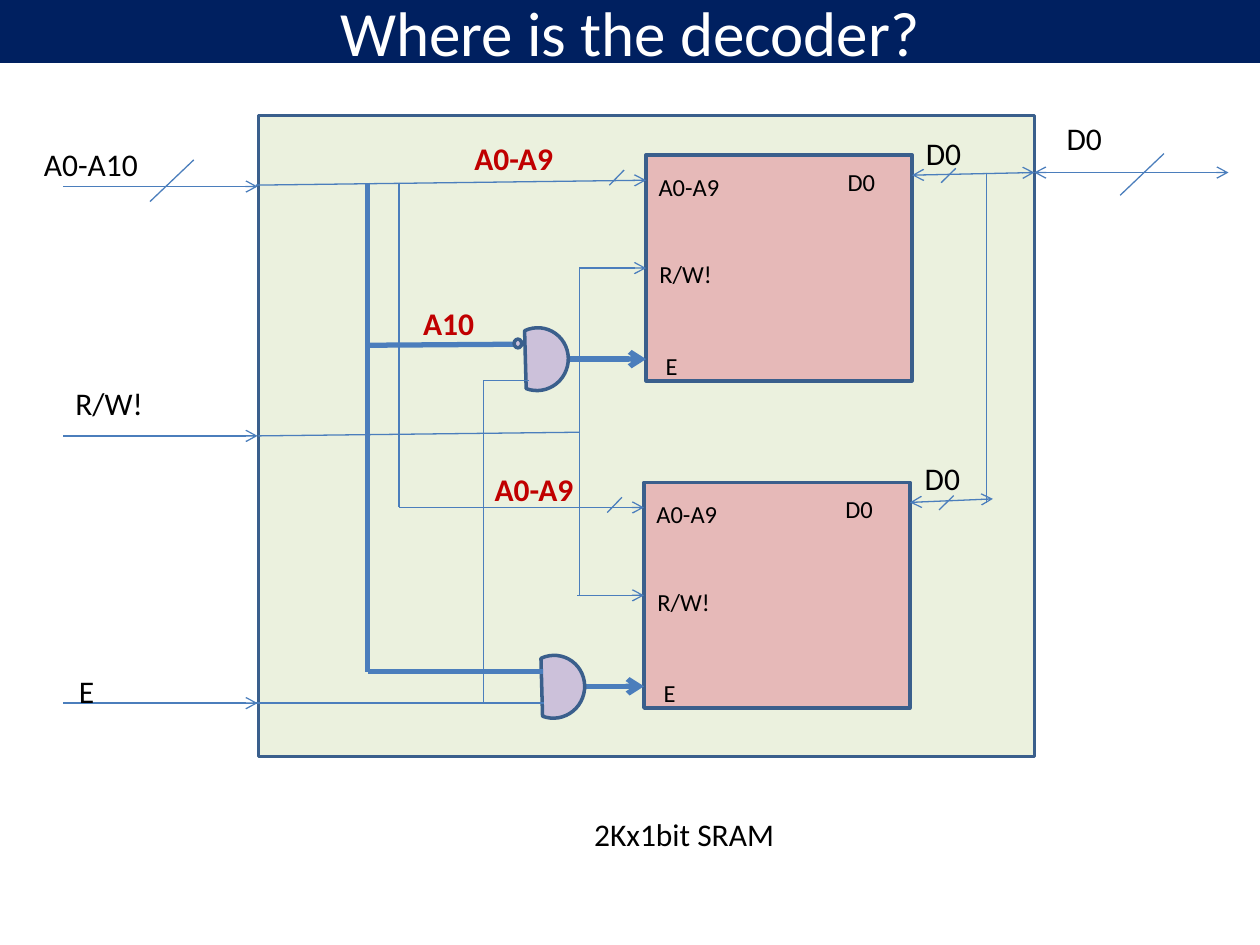
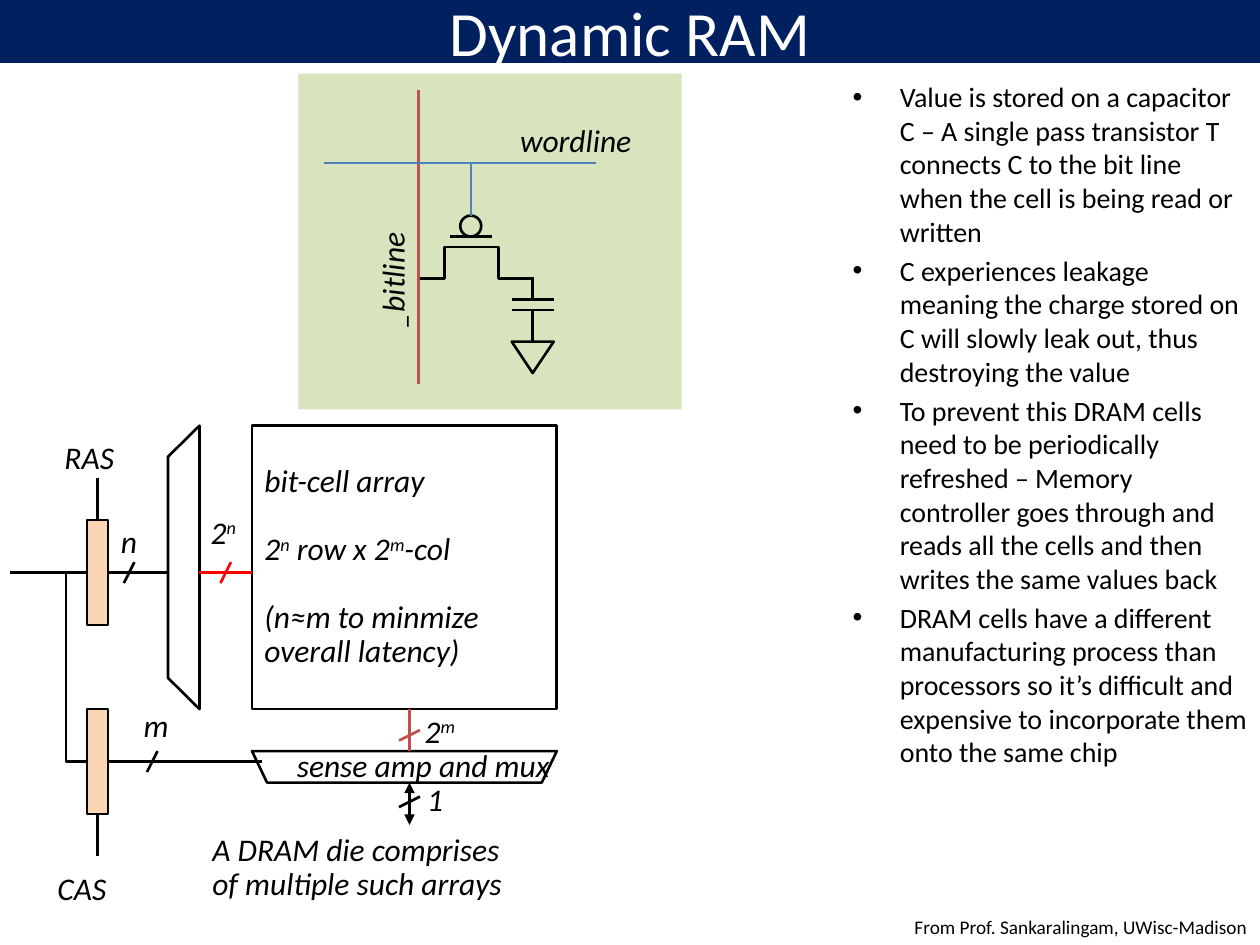
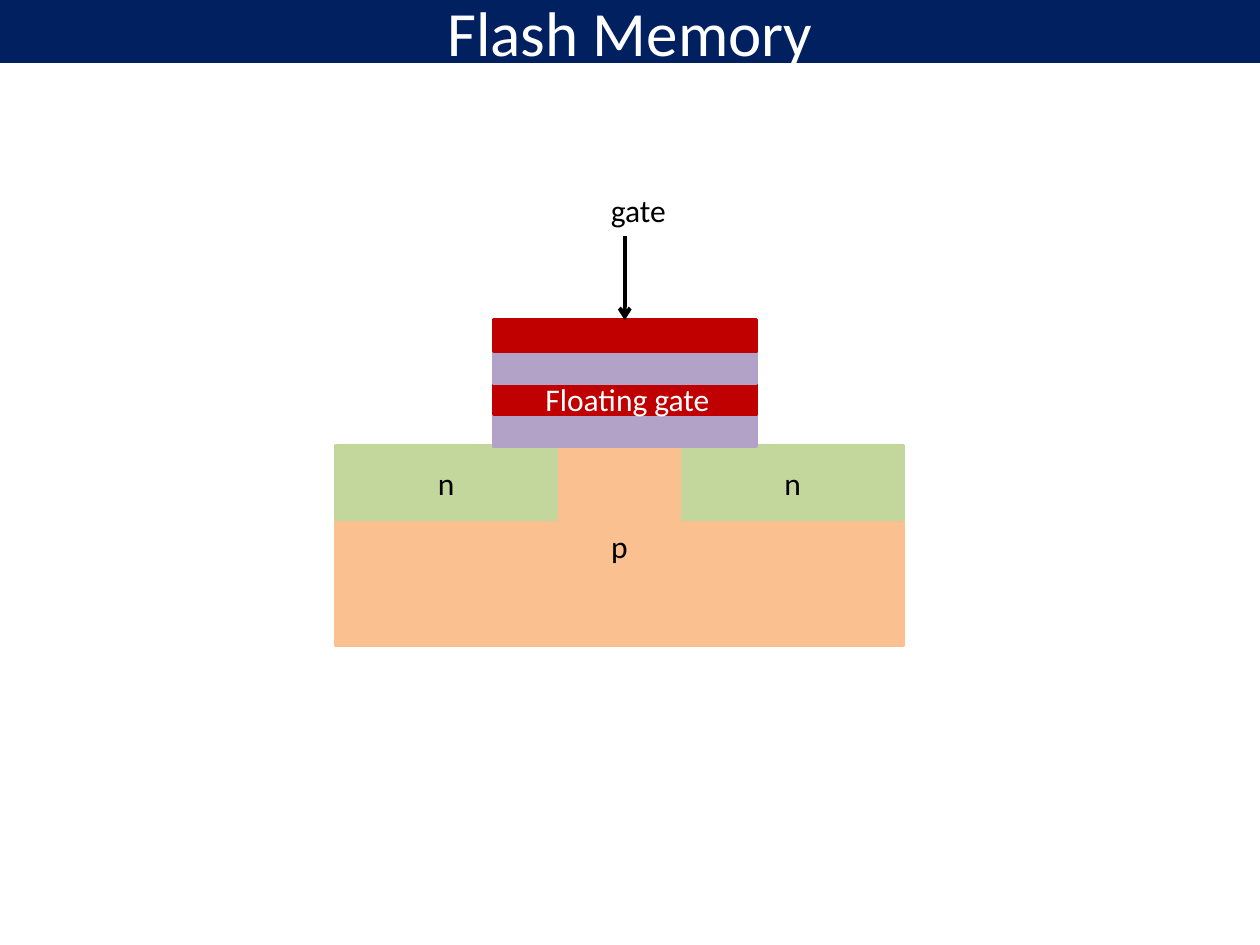
from dataclasses import dataclass

from lxml.etree import SubElement
from pptx import Presentation
from pptx.dml.color import RGBColor
from pptx.enum.shapes import MSO_CONNECTOR, MSO_SHAPE as SHAPE
from pptx.enum.text import MSO_ANCHOR as ANCHOR, MSO_AUTO_SIZE as AUTO, PP_ALIGN as ALIGN
from pptx.oxml.ns import qn
from pptx.util import Pt


@dataclass(frozen=True)
class Theme:
    font: str = "Calibri"
    title_size: float = 36
    label_size: float = 18
    body_size: float = 16
    pin_size: float = 14
    credit_size: float = 11
    thin: float = 0.75
    drawn: float = 1.5
    edge: float = 2
    thick: float = 3
    tight: float = 0.9
    navy: str = "002060"
    white: str = "FFFFFF"
    black: str = "000000"
    wire: str = "4B7EBC"
    outline: str = "3A5F8C"
    module: str = "EBF1DE"
    chip: str = "E6B9B8"
    gate: str = "CCC1DA"
    crimson: str = "C00000"
    cell: str = "D7E4BD"
    bitline: str = "C0504D"
    wordline: str = "4F81BD"
    row_select: str = "FF0000"
    latch: str = "FCD5B5"
    substrate: str = "FAC090"
    doped: str = "C3D69B"
    oxide: str = "B3A2C7"


T = Theme()


def rgb(color):
    return RGBColor.from_string(color)


def add_runs(p, text, size, color, bold=False, italic=False):
    for i, part in enumerate(text.split("^")):
        if not part:
            continue
        r = p.add_run()
        r.text = part
        f = r.font
        f.name, f.size, f.bold, f.italic = T.font, Pt(size), bold, italic
        f.color.rgb = rgb(color)
        if i % 2:
            r._r.get_or_add_rPr().set("baseline", "30000")


def write(tf, lines, size=T.label_size, color=T.black, bold=False, italic=False,
          align=ALIGN.LEFT, spacing=None, gaps=()):
    for i, text in enumerate(lines):
        p = tf.paragraphs[0] if i == 0 else tf.add_paragraph()
        p.alignment = align
        p.line_spacing = spacing
        p.space_before = Pt(gaps[i] if gaps else 0)
        add_runs(p, text, size, color, bold, italic)


def paint(sp, fill=None, line=None, width=T.edge):
    sp.shadow.inherit = False
    if fill:
        sp.fill.solid()
        sp.fill.fore_color.rgb = rgb(fill)
    else:
        sp.fill.background()
    if line:
        sp.line.color.rgb = rgb(line)
        sp.line.width = Pt(width)
    else:
        sp.line.fill.background()


def add_block(s, kind, x, y, w, h, fill=None, line=None, width=T.edge):
    sp = s.shapes.add_shape(kind, Pt(x), Pt(y), Pt(w), Pt(h))
    paint(sp, fill, line, width)
    return sp


def add_outline(s, points, closed):
    (x, y), *rest = [(Pt(a), Pt(b)) for a, b in points]
    builder = s.shapes.build_freeform(x, y)
    builder.add_line_segments(rest, close=closed)
    sp = builder.convert_to_shape()
    paint(sp, None, T.black, T.drawn)
    return sp


def add_line(s, x1, y1, x2, y2, color=T.wire, width=T.thin, head=None, tail=None):
    c = s.shapes.add_connector(MSO_CONNECTOR.STRAIGHT, Pt(x1), Pt(y1), Pt(x2), Pt(y2))
    c.line.color.rgb = rgb(color)
    c.line.width = Pt(width)
    ln = c.line._get_or_add_ln()
    for tag, kind in (("a:headEnd", head), ("a:tailEnd", tail)):
        if kind:
            SubElement(ln, qn(tag), type=kind)
    SubElement(c._element.spPr, qn("a:effectLst"))


def add_label(s, x, y, w, *lines, size=T.label_size, rotation=0, **style):
    h = len(lines) * size * 1.22 * (style.get("spacing") or 1) + 7.2
    box = s.shapes.add_textbox(Pt(x), Pt(y), Pt(w), Pt(h))
    box.rotation = rotation
    tf = box.text_frame
    tf.word_wrap = False
    tf.auto_size = AUTO.SHAPE_TO_FIT_TEXT
    write(tf, lines, size, **style)


def add_note(s, x, y, w, *lines, **style):
    add_label(s, x, y, w, *lines, italic=True, spacing=T.tight, **style)


def add_titled_slide(prs, layout, title):
    s = prs.slides.add_slide(prs.slide_layouts[layout])
    sp = s.shapes.title
    sp.left, sp.top, sp.width, sp.height = Pt(0), Pt(0), prs.slide_width, Pt(36)
    sp.fill.solid()
    sp.fill.fore_color.rgb = rgb(T.navy)
    tf = sp.text_frame
    tf.auto_size = AUTO.NONE
    tf.vertical_anchor = ANCHOR.MIDDLE
    write(tf, [title], T.title_size, T.white, align=ALIGN.CENTER)
    return s


def add_bullets(s, x, y, w, h, items):
    sp = s.placeholders[1]
    sp.left, sp.top, sp.width, sp.height = Pt(x), Pt(y), Pt(w), Pt(h)
    tf = sp.text_frame
    tf.auto_size = AUTO.NONE
    write(tf, items, T.body_size, gaps=[0] + [3.2] * (len(items) - 1))
    for p in tf.paragraphs:
        pPr = p._p.get_or_add_pPr()
        pPr.set("marL", str(Pt(27)))
        pPr.set("indent", str(-Pt(27)))


def add_chip(s, x, y, address_from, data_to, enable_from):
    w, h = 152, 129
    add_block(s, SHAPE.RECTANGLE, x, y, w, h, T.chip, T.outline)
    add_line(s, *address_from, x, y + 14.4, tail="arrow")
    add_line(s, x - 12.6, y + 8.6, x - 21, y + 17.3)
    add_line(s, x + w, y + 11.5, *data_to, head="arrow", tail="arrow")
    add_line(s, x + w + 25, y + 7.6, x + w + 16.6, y + 15.8)
    add_line(s, x - 38.2, y + 64.6, x, y + 64.6, tail="arrow")
    add_line(s, enable_from, y + 116.6, x, y + 116.6, width=T.thick, tail="arrow")
    for dx, dy, pin_w, pin in ((0, 5.9, 49.7, "A0-A9"), (108, 3.2, 30.2, "D0"),
                               (0.5, 56, 44.6, "R/W!"), (4.1, 108.2, 21.6, "E")):
        add_label(s, x + dx, y + dy, pin_w, pin, size=T.pin_size)


def decoder_slide(prs):
    s = add_titled_slide(prs, 5, "Where is the decoder?")
    add_block(s, SHAPE.RECTANGLE, 147.7, 66, 443.5, 366.3, T.module, T.outline)
    for y in (106.6, 249.1, 401.8):
        add_line(s, 36.2, y, 147.2, y, tail="arrow")
    add_line(s, 591, 98.6, 702, 98.6, head="arrow", tail="arrow")
    for x, y in ((110.7, 91.4), (665.1, 87.8)):
        add_line(s, x, y, x - 25, y + 23.8)

    add_chip(s, 369.2, 88.6, (146.2, 105.8), (591.1, 98.6), 324.7)
    add_chip(s, 368, 275.6, (228.2, 290), (567.4, 285.1), 332.6)

    for wire in ((331.2, 339.8, 331.2, 153.4), (147.6, 249.1, 331.2, 247),
                 (276.4, 217.4, 276.4, 401.8), (563.9, 98.6, 563.9, 287.3),
                 (228, 104.4, 228, 290)):
        add_line(s, *wire)
    for y in (187.2, 374.4):
        gate = add_block(s, SHAPE.CHORD, 289.4 + (y - 187.2) / 20, y, 35.3, 36, T.gate, T.outline)
        gate.rotation = 200.8
    for wire in ((146.2, 401.8, 276.5, 401.8), (276.5, 401.8, 311, 401.8),
                 (276.5, 217.5, 302.4, 217.5)):
        add_line(s, *wire)
    for wire in ((210.2, 104.4, 210.2, 383.8), (210.2, 383.8, 310.3, 383.8),
                 (210.2, 197.3, 294.5, 196.7)):
        add_line(s, *wire, width=T.thick)
    add_block(s, SHAPE.OVAL, 293.8, 193.8, 4.3, 5, T.gate, T.outline)

    for x, y, w, text in ((18, 79.2, 68.4, "A0-A10"), (602.4, 64.5, 35.3, "D0"),
                          (36, 216, 110, "R/W!"), (38, 380.6, 48, "E"),
                          (521.3, 258.5, 35.3, "D0"), (522, 72.9, 35.3, "D0"),
                          (332.4, 462.2, 118, "2Kx1bit SRAM")):
        add_label(s, x, y, w, text)
    for x, y, w, text in ((264, 75.6, 60.5, "A0-A9"), (234.7, 169.9, 44, "A10"),
                          (275.6, 265, 60.5, "A0-A9")):
        add_label(s, x, y, w, text, color=T.crimson, bold=True)


def draw_bit_cell(s):
    add_block(s, SHAPE.RECTANGLE, 170.6, 42, 219, 192, T.cell)
    add_outline(s, [(239, 159), (254.2, 159), (254.2, 141.2), (285, 141.2), (285, 159),
                    (305, 159)], False)
    add_block(s, SHAPE.OVAL, 263, 123.2, 12, 12, None, T.black, T.drawn)
    add_line(s, 239, 51.2, 239, 219.2, T.bitline, T.drawn)
    add_line(s, 185, 93.2, 340.6, 93.2, T.wordline, T.drawn)
    add_line(s, 269.2, 93.2, 269.2, 123.2, T.wordline, T.drawn)
    for wire in ((257, 135.2, 281, 135.2), (304.4, 159, 304.4, 171.2),
                 (292.4, 171.2, 316.4, 171.2), (292.4, 177.2, 316.4, 177.2),
                 (304.4, 177.2, 304.4, 195.2)):
        add_line(s, *wire, T.black, T.drawn)
    add_block(s, SHAPE.FLOWCHART_MERGE, 292.4, 195.2, 24, 18, None, T.black, T.drawn)
    add_note(s, 290.1, 68, 78.5, "wordline")
    add_note(s, 190, 145.4, 71.3, "_bitline", rotation=270)


def draw_array(s):
    array = add_block(s, SHAPE.RECTANGLE, 144, 243.2, 174.2, 162, None, T.black, T.drawn)
    array.text_frame.vertical_anchor = ANCHOR.MIDDLE
    write(array.text_frame,
          ["bit-cell array", "2^n^ row x 2^m^-col", "(n≈m to minmize", "overall latency)"],
          italic=True, spacing=T.tight, gaps=(0, 19.4, 19.4, 0))

    mux = add_outline(s, [(144, 429.2), (152.6, 447.2), (309.6, 447.2), (318.2, 429.2)], True)
    tf = mux.text_frame
    tf.vertical_anchor = ANCHOR.MIDDLE
    tf.margin_left, tf.margin_right = Pt(25.6), Pt(0)
    write(tf, ["sense amp and mux"], italic=True, spacing=T.tight)

    add_outline(s, [(114, 243.2), (96, 261), (96, 387.4), (114, 405.2)], True)
    add_outline(s, [(37.8, 327.2), (37.8, 435.2), (150, 435.2)], False)
    add_line(s, 6, 327.2, 96, 327.2, T.black, T.drawn)
    add_line(s, 114, 327.2, 144, 327.2, T.row_select, T.drawn)
    add_line(s, 234, 405.2, 234, 429.2, T.bitline, T.drawn)
    add_line(s, 234, 447.2, 234, 471.4, T.black, T.drawn, "triangle", "triangle")
    for x, y, color in ((126, 333.2, T.row_select), (70.8, 333.2, T.black),
                        (84, 441.2, T.black)):
        add_line(s, x, y, x + 6, y - 12, color, T.drawn)
    for y, color in ((423.2, T.bitline), (461.2, T.black)):
        add_line(s, 228, y, 240, y - 6, color, T.drawn)
    for y in (297.2, 405.2):
        add_block(s, SHAPE.RECTANGLE, 49.8, y, 12, 60, T.latch, T.black, T.drawn)
    for y in (273.2, 465.2):
        add_line(s, 55.7, y, 55.7, y + 24, T.black, T.drawn)

    for x, y, w, text in ((235.6, 405.5, 34.6, "2^m^"), (113.3, 291.8, 31, "2^n^"),
                          (62, 297.4, 24.5, "n"), (75, 402.5, 29.5, "m"),
                          (237, 444.5, 24.5, "1"), (29.8, 249.1, 43.2, "RAS"),
                          (25.7, 495.4, 42.5, "CAS")):
        add_note(s, x, y, w, text)
    add_note(s, 114.3, 473, 184.3, "A DRAM die comprises", "of multiple such arrays")


def dram_slide(prs):
    s = add_titled_slide(prs, 1, "Dynamic RAM")
    add_bullets(s, 480, 42, 240, 498, [
        "Value is stored on a capacitor C – A single pass transistor T connects C to the bit line "
        "when the cell is being read or written",
        "C experiences leakage meaning the charge stored on C will slowly leak out, thus "
        "destroying the value",
        "To prevent this DRAM cells need to be periodically refreshed – Memory controller goes "
        "through and reads all the cells and then writes the same values back",
        "DRAM cells have a different manufacturing process than processors so it’s difficult and "
        "expensive to incorporate them onto the same chip",
    ])
    draw_bit_cell(s)
    draw_array(s)
    add_label(s, 515.5, 519.2, 204.5, "From Prof. Sankaralingam, UWisc-Madison",
              size=T.credit_size)


def flash_slide(prs):
    s = add_titled_slide(prs, 5, "Flash Memory")
    for x, w, h, color, text in ((192, 324, 114, T.substrate, "p"), (192, 126, 42, T.doped, "n"),
                                 (390, 126, 42, T.doped, "n")):
        region = add_block(s, SHAPE.RECTANGLE, x, 255, w, h, color, color)
        region.text_frame.vertical_anchor = ANCHOR.MIDDLE
        write(region.text_frame, [text], align=ALIGN.CENTER)
    for i, color in enumerate((T.oxide, T.crimson) * 2):
        add_block(s, SHAPE.RECTANGLE, 282, 237 - 18 * i, 150, 18, color, color)
    add_line(s, 357, 134.6, 357, 183, T.black, 2.25, tail="arrow")
    add_label(s, 342, 105.8, 46, "gate")
    add_label(s, 304.6, 213.8, 109.4, "Floating gate", color=T.white)


def main():
    prs = Presentation()
    prs.slide_width, prs.slide_height = Pt(720), Pt(540)
    decoder_slide(prs)
    dram_slide(prs)
    flash_slide(prs)
    prs.save("out.pptx")


if __name__ == "__main__":
    main()
